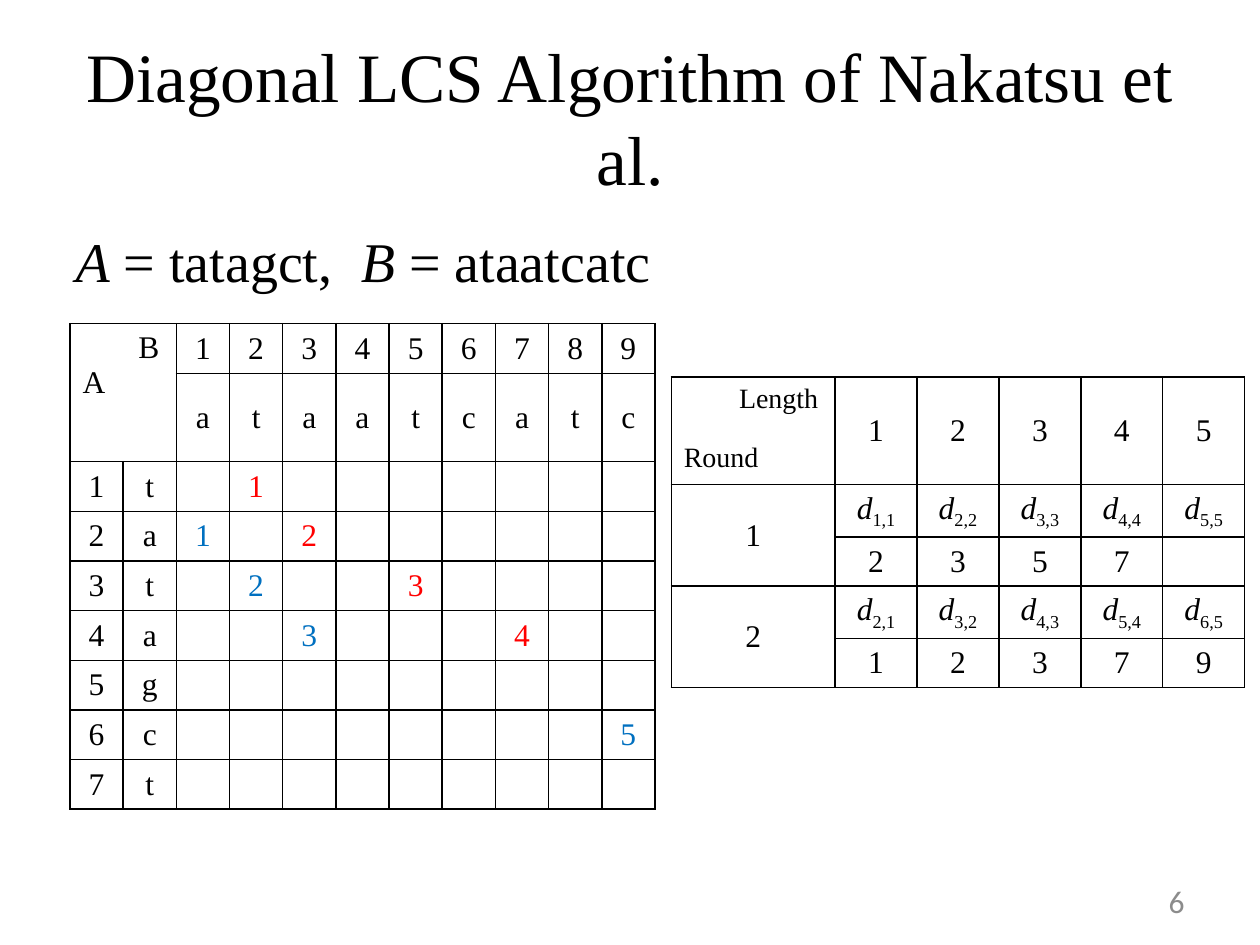
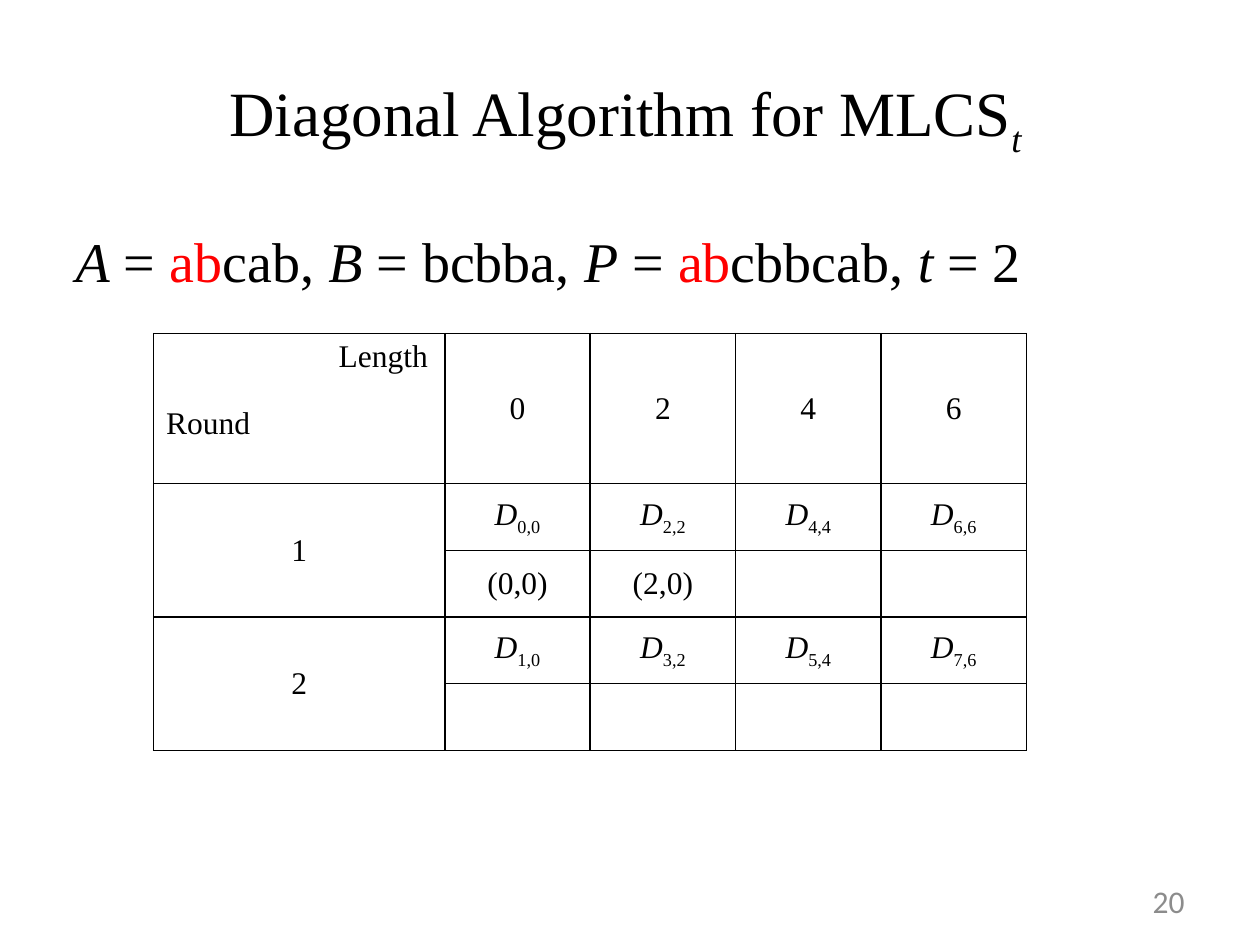
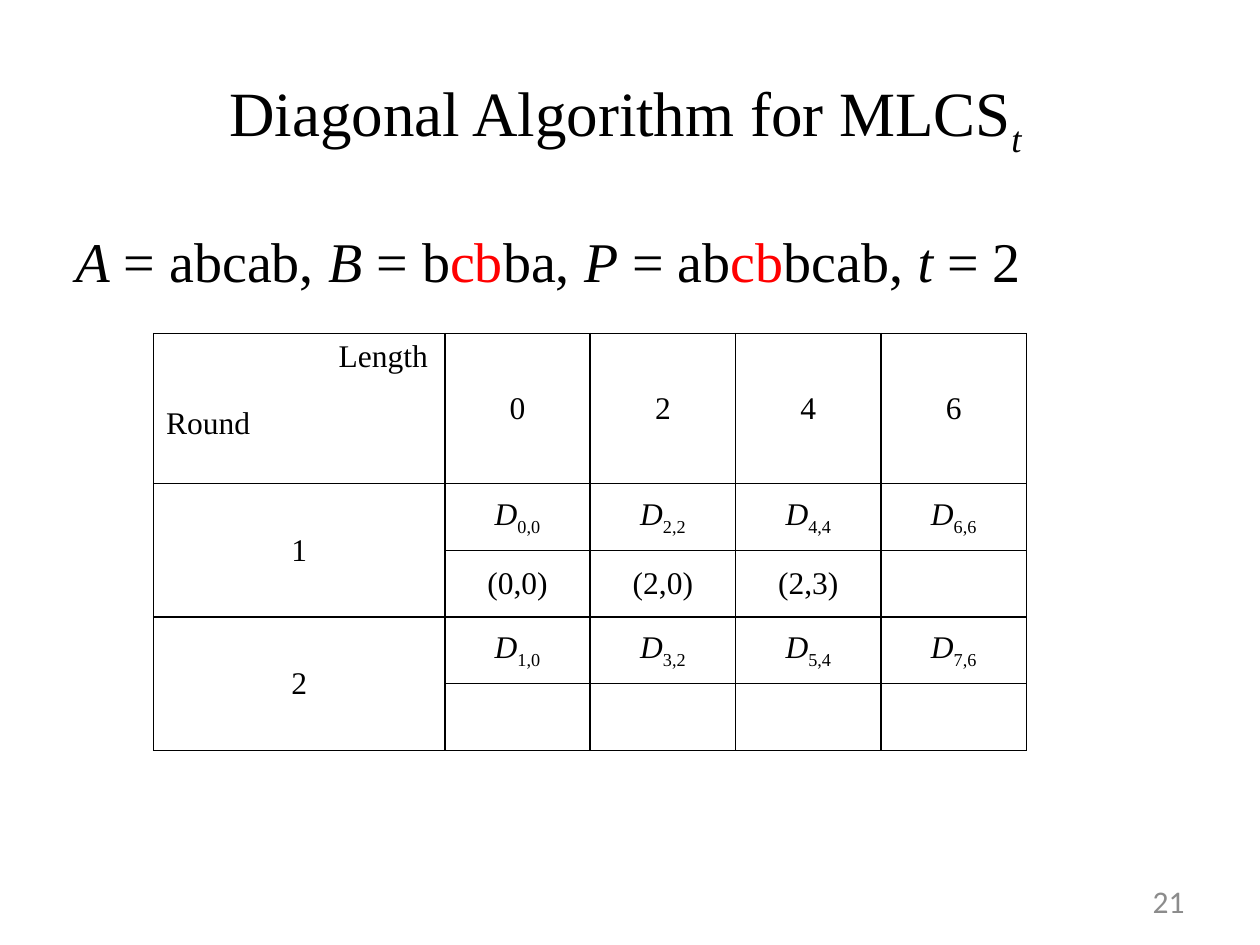
from lxml.etree import SubElement
from pptx import Presentation
from pptx.dml.color import RGBColor
from pptx.enum.text import MSO_ANCHOR, MSO_AUTO_SIZE, PP_ALIGN
from pptx.oxml.ns import qn
from pptx.util import Pt

HUES = {"black": "000000", "red": "FF0000", "blue": "0070C0", "gray": "8C8C8C"}
SERIF = "Times New Roman"


def write(para, *runs, size=18, font=SERIF, hue="black", align=PP_ALIGN.CENTER):
    """Add runs; each is a string or (text, *tags) with tags "i", "sub" or a colour name."""
    para.alignment = align
    for item in runs:
        text, *tags = (item,) if isinstance(item, str) else item
        run = para.add_run()
        run.text = text
        run.font.name = font
        run.font.size = Pt(size)
        run.font.italic = "i" in tags
        shade = next((tag for tag in tags if tag in HUES), hue)
        run.font.color.rgb = RGBColor.from_string(HUES[shade])
        if "sub" in tags:
            run._r.get_or_add_rPr().set("baseline", "-25000")


def grid(slide, left, top, cols, rows, cells, corner, spans, size=18, gap=0):
    """Draw a ruled table; cells maps (row, column) to runs, corner is (upper, lower) label."""
    frame = slide.shapes.add_table(len(rows), len(cols), Pt(left), Pt(top),
                                   Pt(sum(cols)), Pt(sum(rows)))
    table = frame.table
    table.first_row = table.horz_banding = False
    for col, width in zip(table.columns, cols):
        col.width = Pt(width)
    for row, height in zip(table.rows, rows):
        row.height = Pt(height)
    for cell in table.iter_cells():
        props = cell._tc.get_or_add_tcPr()
        for side in ("a:lnL", "a:lnR", "a:lnT", "a:lnB"):
            line = SubElement(props, qn(side), w=str(Pt(1)))
            fill = SubElement(line, qn("a:solidFill"))
            SubElement(fill, qn("a:srgbClr"), val=HUES["black"])
        cell.fill.background()
        cell.margin_top = cell.margin_bottom = 0
        cell.vertical_anchor = MSO_ANCHOR.MIDDLE
    for start, end in spans:
        table.cell(*start).merge(table.cell(*end))
    for spot, runs in cells.items():
        write(table.cell(*spot).text_frame.paragraphs[0], *runs)

    head = table.cell(0, 0)
    head.vertical_anchor = MSO_ANCHOR.TOP
    head.margin_top = head.margin_bottom = Pt(3.6)
    head.margin_right = Pt(9.7)
    upper, lower = corner
    write(head.text_frame.paragraphs[0], upper, size=size, align=PP_ALIGN.RIGHT)
    para = head.text_frame.add_paragraph()
    para.space_before = Pt(gap)
    write(para, lower, size=size, align=PP_ALIGN.LEFT)


deck = Presentation()
deck.slide_width, deck.slide_height = Pt(720), Pt(540)

mlcs = ["Diagonal Algorithm for MLCS", ("t ", "i", "sub")]
pages = [
    (6, 39.6, ["Diagonal LCS Algorithm of Nakatsu et al."],
     [("A", "i"), " = tatagct,  ", ("B", "i"), " = ataatcatc"]),
    (20, 36, mlcs,
     [("A", "i"), " = ", ("ab", "red"), "cab, ", ("B", "i"), " = bcbba, ",
      ("P", "i"), " = ", ("ab", "red"), "cbbcab, ", ("t", "i"), " = 2"]),
    (21, 36, mlcs,
     [("A", "i"), " = abcab, ", ("B", "i"), " = b", ("cb", "red"), "ba, ",
      ("P", "i"), " = ab", ("cb", "red"), "bcab, ", ("t", "i"), " = 2"]),
]
for number, size, title, body in pages:
    slide = deck.slides.add_slide(deck.slide_layouts[1])
    head, main = slide.placeholders
    for shape, top, height in ((head, 21.6, 90), (main, 126, 356.4)):
        shape.left, shape.top = Pt(36), Pt(top)
        shape.width, shape.height = Pt(648), Pt(height)
        shape.text_frame.auto_size = MSO_AUTO_SIZE.NONE
    head.text_frame.vertical_anchor = MSO_ANCHOR.MIDDLE
    write(head.text_frame.paragraphs[0], *title, size=size)

    para = main.text_frame.paragraphs[0]
    props = para._p.get_or_add_pPr()
    props.set("marL", "0")
    props.set("indent", "0")
    SubElement(props, qn("a:buNone"))
    write(para, *body, size=32, align=PP_ALIGN.LEFT)

    foot = slide.shapes.add_textbox(Pt(516), Pt(500.5), Pt(168), Pt(28.8)).text_frame
    foot.word_wrap = True
    foot.vertical_anchor = MSO_ANCHOR.MIDDLE
    write(foot.paragraphs[0], str(number), font="Calibri", hue="gray", align=PP_ALIGN.RIGHT)

# Match grid of A against B
cells = {}
for col, mark in enumerate("ataatcatc", 1):
    cells[0, col + 1] = [str(col)]
    cells[1, col + 1] = [mark]
for row, mark in enumerate("tatagct", 1):
    cells[row + 1, 0] = [str(row)]
    cells[row + 1, 1] = [mark]
paths = {"red": [(1, 2), (2, 3), (3, 5), (4, 7)],
         "blue": [(2, 1), (3, 2), (4, 3), (6, 9)]}
ranks = {"red": "1234", "blue": "1235"}
for hue, path in paths.items():
    for rank, (row, col) in zip(ranks[hue], path):
        cells[row + 1, col + 1] = [(rank, hue)]
grid(deck.slides[0], 40, 185, [30.4] * 11, [28.4, 46.8] + [28.4] * 7, cells,
     ("B", "A"), [((0, 0), (1, 1))])

# Round tables: (slide, letter, lengths, values of each round, layout)
small = dict(left=383.6, top=215.4, cols=[93.6] + [46.8] * 5,
             rows=[60.6] + [29.8, 28.2] * 2, size=16, gap=16)
large = dict(left=87.8, top=190.6, cols=[166.4] + [83.1] * 4,
             rows=[85.8] + [38.1] * 4, size=18, gap=18)
rounds = [
    (0, "d", [1, 2, 3, 4, 5], ["2 3 5 7", "1 2 3 7 9"], small),
    (1, "D", [0, 2, 4, 6], ["(0,0) (2,0)", ""], large),
    (2, "D", [0, 2, 4, 6], ["(0,0) (2,0) (2,3)", ""], large),
]
for index, letter, sizes, values, layout in rounds:
    cells = {(0, col): [str(length)] for col, length in enumerate(sizes, 1)}
    for turn, found in enumerate(values):
        row = 2 * turn + 1
        cells[row, 0] = [str(turn + 1)]
        for col, length in enumerate(sizes, 1):
            cells[row, col] = [(letter, "i"), (f"{length + turn},{length}", "sub")]
        for col, value in enumerate(found.split(), 1):
            cells[row + 1, col] = [value]
    grid(deck.slides[index], cells=cells, corner=("Length", "Round"),
         spans=[((1, 0), (2, 0)), ((3, 0), (4, 0))], **layout)

deck.save("out.pptx")
